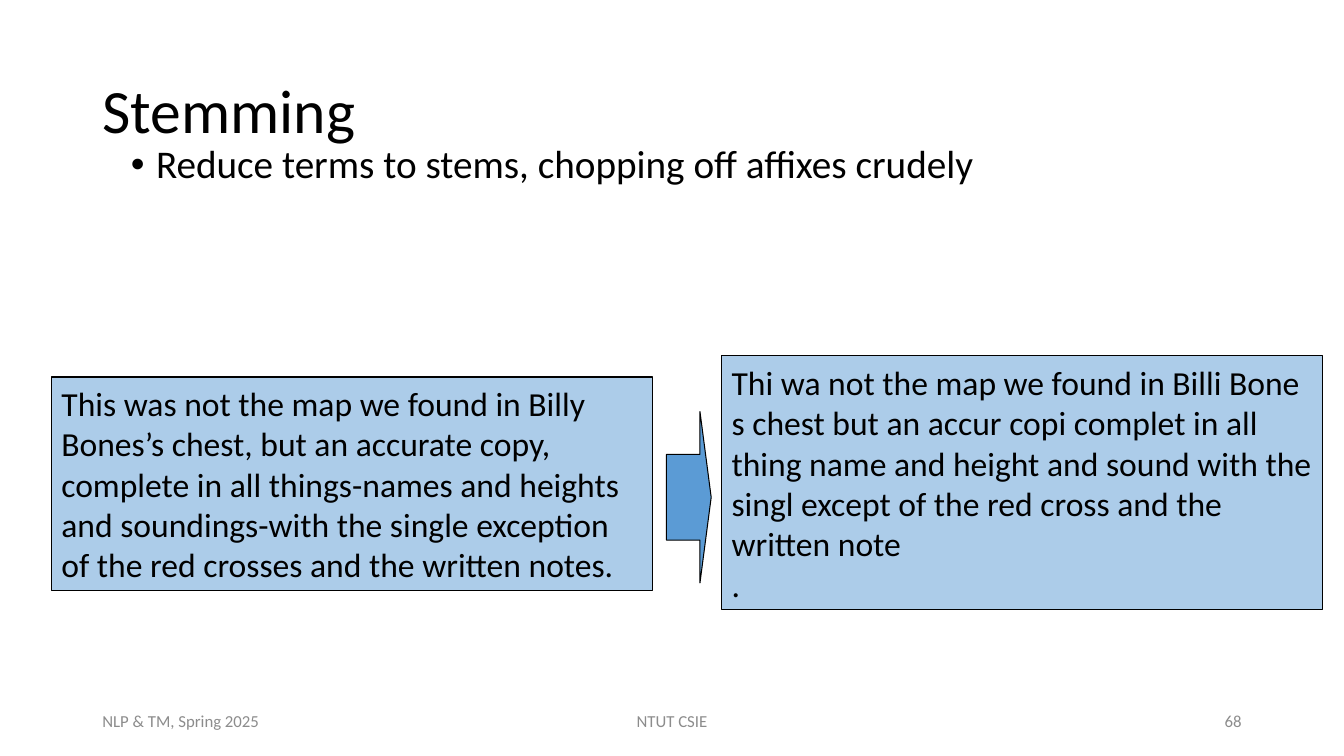
from dataclasses import dataclass
from lxml.etree import SubElement
from pptx import Presentation
from pptx.dml.color import RGBColor as RGB
from pptx.enum.shapes import MSO_SHAPE as SHAPE
from pptx.enum.text import MSO_ANCHOR as ANCHOR, MSO_AUTO_SIZE as FIT, PP_ALIGN as ALIGN
from pptx.oxml.ns import qn
from pptx.util import Pt


@dataclass(frozen=True)
class Theme:
    font: str = "Calibri"
    ink: RGB = RGB(0, 0, 0)
    muted: RGB = RGB(0x8C, 0x8C, 0x8C)
    blue: RGB = RGB(0x5B, 0x9B, 0xD5)
    title: int = 44
    bullet: int = 28
    sample: int = 24
    footer: int = 12


theme = Theme()


def write(shape, text, size, color, align=ALIGN.LEFT, anchor=ANCHOR.MIDDLE):
    frame = shape.text_frame
    frame.text = text
    frame.word_wrap = True
    frame.auto_size = FIT.NONE
    frame.vertical_anchor = anchor
    for paragraph in frame.paragraphs:
        paragraph.alignment = align
        for run in paragraph.runs:
            run.font.name = theme.font
            run.font.size = Pt(size)
            run.font.color.rgb = color


def add_blue_shape(kind, left, top, width, height):
    shape = slide.shapes.add_shape(kind, Pt(left), Pt(top), Pt(width), Pt(height))
    shape.shadow.inherit = False
    shape.fill.solid()
    shape.fill.fore_color.rgb = theme.blue
    shape.line.color.rgb = theme.ink
    shape.line.width = Pt(0.75)
    return shape


deck = Presentation()
deck.slide_width, deck.slide_height = Pt(960), Pt(540)
slide = deck.slides.add_slide(deck.slide_layouts[5])

heading = slide.shapes.title
heading.left, heading.top, heading.width, heading.height = Pt(66), Pt(28.8), Pt(828), Pt(104.4)
write(heading, "Stemming", theme.title, theme.ink)
heading.text_frame.paragraphs[0].line_spacing = 0.9

definition = slide.shapes.add_textbox(Pt(86.4), Pt(100), Pt(792), Pt(360))
write(definition, "Reduce terms to stems, chopping off affixes crudely",
      theme.bullet, theme.ink, anchor=ANCHOR.TOP)
definition_line = definition.text_frame.paragraphs[0]
definition_line.line_spacing = 0.9
bullet_props = definition_line._p.get_or_add_pPr()
bullet_props.set("marL", str(Pt(18)))
bullet_props.set("indent", str(Pt(-18)))
SubElement(bullet_props, qn("a:buFont"), typeface="Arial")
SubElement(bullet_props, qn("a:buChar"), char="•")

samples = [
    (36.8, 269.3, 152.6,
     "This was not the map we found in Billy Bones’s chest, but an accurate copy, "
     "complete in all things-names and heights and soundings-with the single "
     "exception of the red crosses and the written notes."),
    (515.5, 254.2, 181.4,
     "Thi wa not the map we found in Billi Bone s chest but an accur copi complet "
     "in all thing name and height and sound with the singl except of the red "
     "cross and the written note\n."),
]
for left, top, height, passage in samples:
    sample = add_blue_shape(SHAPE.RECTANGLE, left, top, 429, height)
    tint = sample.fill._xPr.find(qn("a:solidFill"))[0]
    SubElement(tint, qn("a:alpha"), val="50000")
    write(sample, passage, theme.sample, theme.ink)

stemming_arrow = add_blue_shape(SHAPE.RIGHT_ARROW, 476, 294, 32, 122.4)
stemming_arrow.adjustments[0] = 0.5
stemming_arrow.adjustments[1] = 0.25

footers = [
    (66, 216, "NLP & TM, Spring 2025", ALIGN.LEFT),
    (318, 324, "NTUT CSIE", ALIGN.CENTER),
    (678, 216, "68", ALIGN.RIGHT),
]
for left, width, label, align in footers:
    footer = slide.shapes.add_textbox(Pt(left), Pt(500.5), Pt(width), Pt(28.75))
    write(footer, label, theme.footer, theme.muted, align)

deck.save("out.pptx")
